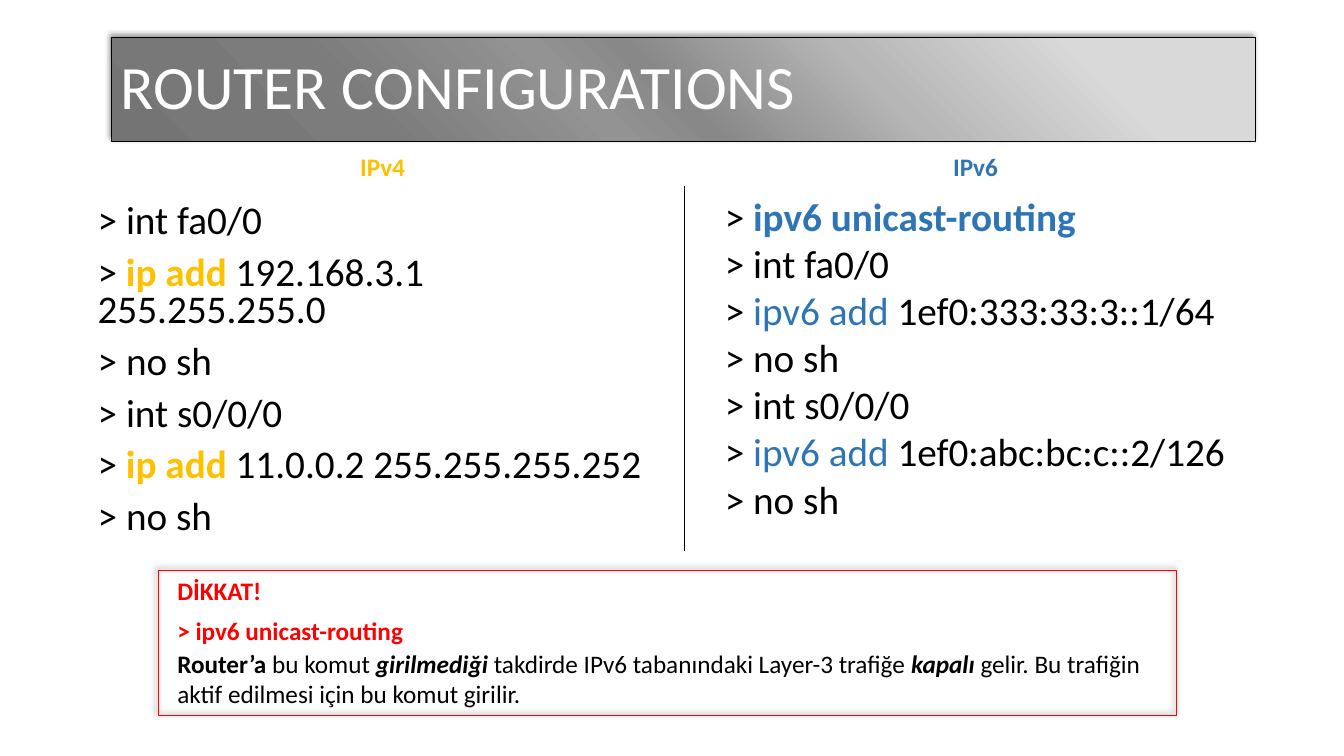
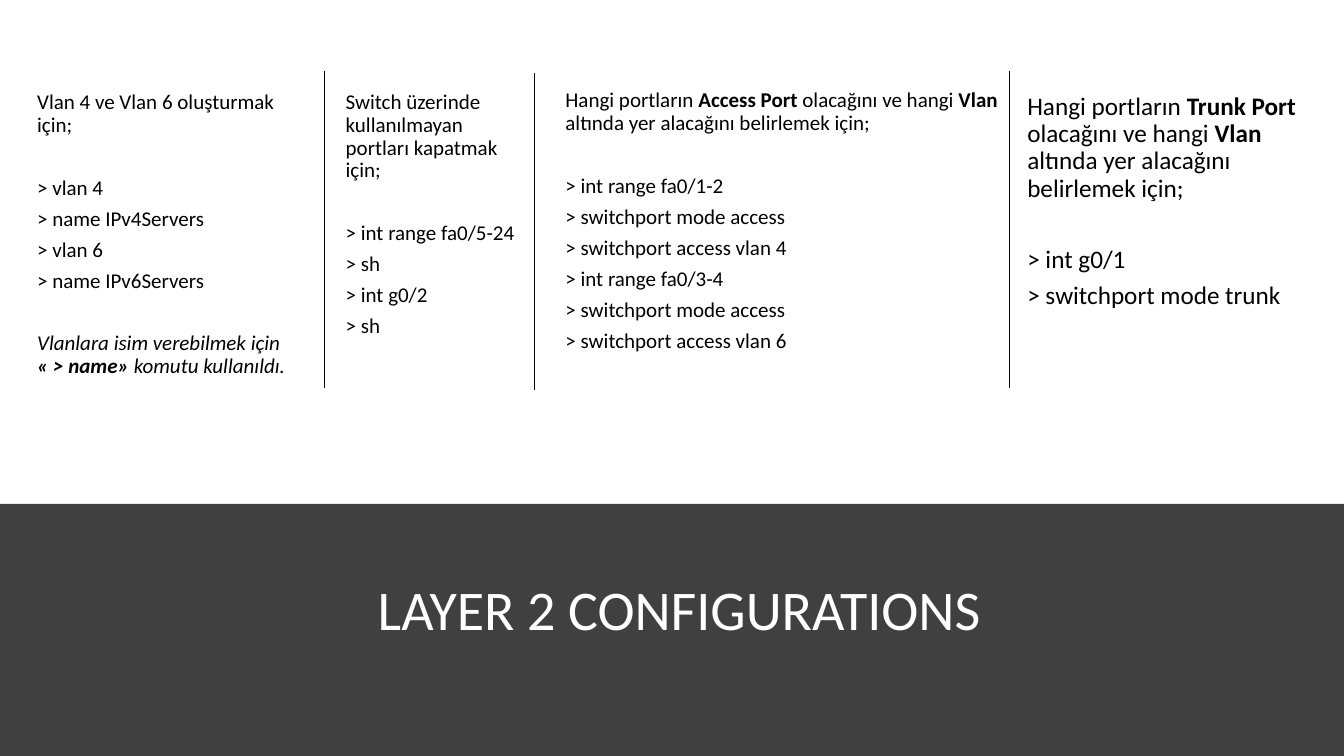
from lxml import etree
from pptx import Presentation
from pptx.dml.color import RGBColor
from pptx.enum.shapes import MSO_CONNECTOR, MSO_SHAPE
from pptx.enum.text import MSO_ANCHOR, PP_ALIGN
from pptx.oxml import parse_xml
from pptx.oxml.ns import nsdecls, qn
from pptx.util import Inches, Pt

FONT = "Calibri"
BLACK = RGBColor(0x00, 0x00, 0x00)
WHITE = RGBColor(0xFF, 0xFF, 0xFF)
AMBER = RGBColor(0xFF, 0xC0, 0x00)
BLUE = RGBColor(0x2E, 0x75, 0xB6)
RED = RGBColor(0xFF, 0x00, 0x00)
CHARCOAL = RGBColor(0x40, 0x40, 0x40)
BAND_STOPS = [(15, "D9D9D9"), (34, "B6B6B6"), (51, "888888"), (59, "939393"),
              (77, "7C7C7C"), (90, "787878"), (97, "747474")]

BOLD = {"bold": True}
BOLD_ITALIC = {"bold": True, "italic": True}
IPV4_ADD = ("ip add ", {"bold": True, "color": AMBER})
IPV6_ADD = ("ipv6 add ", {"color": BLUE})


def write(slide, box, paragraphs, size=18, color=BLACK, bold=False, italic=False,
          align=PP_ALIGN.LEFT, anchor=MSO_ANCHOR.TOP, wrap=True,
          spacing=None, before=0, after=0, gaps=None):
    """Write paragraphs, each a string or a list of strings and (text, format) runs.

    gaps maps a paragraph's index to its own space after, in points.
    """
    frame = slide.shapes.add_textbox(*map(Inches, box)).text_frame
    frame.word_wrap = wrap
    frame.vertical_anchor = anchor
    for index, runs in enumerate(paragraphs):
        paragraph = frame.add_paragraph() if index else frame.paragraphs[0]
        paragraph.alignment = align
        paragraph.line_spacing = spacing
        paragraph.space_before = Pt(before)
        paragraph.space_after = Pt((gaps or {}).get(index, after))
        for part in [runs] if isinstance(runs, str) else runs:
            text, style = (part, {}) if isinstance(part, str) else part
            run = paragraph.add_run()
            run.text = text
            run.font.name = FONT
            run.font.size = Pt(size)
            run.font.bold = style.get("bold", bold)
            run.font.italic = style.get("italic", italic)
            run.font.color.rgb = style.get("color", color)


def panel(slide, box, fill=None, line=None, weight=1):
    """Add a flat rectangle; no fill or line unless a colour is given."""
    rectangle = slide.shapes.add_shape(MSO_SHAPE.RECTANGLE, *map(Inches, box))
    rectangle.shadow.inherit = False
    if fill is None:
        rectangle.fill.background()
    else:
        rectangle.fill.solid()
        rectangle.fill.fore_color.rgb = fill
    if line is None:
        rectangle.line.fill.background()
    else:
        rectangle.line.color.rgb = line
        rectangle.line.width = Pt(weight)
    return rectangle


def cast_shadow(rectangle):
    """Give a rectangle a soft shadow towards the upper left."""
    effects = rectangle._element.spPr.find(qn("a:effectLst"))
    effects.append(parse_xml(
        f'<a:outerShdw {nsdecls("a")} blurRad="{Pt(4)}" dist="{Pt(3)}" '
        f'dir="{225 * 60000}" algn="br" rotWithShape="0">'
        '<a:prstClr val="black"><a:alpha val="40000"/></a:prstClr></a:outerShdw>'))


def radial_fill(rectangle, stops):
    """Replace the fill by a gradient spreading from the upper right corner."""
    stop_xml = "".join(f'<a:gs pos="{position * 1000}"><a:srgbClr val="{tone}"/></a:gs>'
                       for position, tone in stops)
    properties = rectangle._element.spPr
    properties.replace(properties.find(qn("a:noFill")), parse_xml(
        f'<a:gradFill {nsdecls("a")} rotWithShape="1"><a:gsLst>{stop_xml}</a:gsLst>'
        '<a:path path="circle"><a:fillToRect l="100000" b="100000"/></a:path>'
        '</a:gradFill>'))


def divider(slide, x, top, bottom, weight=1):
    """Draw a vertical black rule."""
    rule = slide.shapes.add_connector(MSO_CONNECTOR.STRAIGHT, Inches(x), Inches(top),
                                      Inches(x), Inches(bottom))
    rule.line.color.rgb = BLACK
    rule.line.width = Pt(weight)
    etree.SubElement(rule._element.spPr, qn("a:effectLst"))


def title(slide, box, text, size, align=PP_ALIGN.LEFT):
    """Write a white slide title, centred vertically in its box."""
    write(slide, box, [text], size=size, color=WHITE, align=align,
          anchor=MSO_ANCHOR.MIDDLE, spacing=0.9)


def title_band(slide, box, text):
    """Draw the shaded band with the title on it."""
    left, top, width, height = box
    band = panel(slide, box, line=BLACK, weight=0.25)
    radial_fill(band, BAND_STOPS)
    cast_shadow(band)
    title(slide, (left, top + 0.05, width - 0.18, height - 0.1), text, 44)


def heading(slide, center, top, text, color):
    """Write a protocol heading centred on an x position."""
    write(slide, (center - 0.33, top, 0.65, 0.4), [text], color=color, bold=True,
          align=PP_ALIGN.CENTER, wrap=False)


def warning(slide, box):
    """Draw the red warning box and its text."""
    left, top, width, height = box
    cast_shadow(panel(slide, box, line=RED))
    alert = {"bold": True, "color": RED}
    write(slide, (left + 0.09, top, width - 0.09, height), [
        [("DİKKAT!", alert)],
        [("> ipv6 unicast-routing", alert)],
        [("Router’a ", BOLD), "bu komut ", ("girilmediği ", BOLD_ITALIC),
         "takdirde IPv6 tabanındaki Layer-3 trafiğe ", ("kapalı", BOLD_ITALIC),
         " gelir. Bu trafiğin aktif edilmesi için bu komut girilir."],
    ], gaps={0: 7, 1: 2})


def command_column(slide, box, intro, commands, size=15, remark=None):
    """Write an introduction, its commands and an optional italic remark."""
    section_gap = 12 + 1.1 * size
    gaps = {0: section_gap}
    paragraphs = [intro, *commands]
    if remark:
        gaps[len(commands)] = section_gap
        paragraphs.append(remark)
    write(slide, box, paragraphs, size=size, spacing=0.9, after=6, gaps=gaps)


def port_intro(kind):
    """Return the introduction for choosing ports of one kind."""
    return ["Hangi portların ", (kind, BOLD), " olacağını ve hangi ", ("Vlan", BOLD),
            " altında yer alacağını belirlemek için;"]


def router_slide(slide):
    """Compare router commands for IPv4 and IPv6."""
    title_band(slide, (1.1, 0.37, 11.35, 1.03), "ROUTER CONFIGURATIONS")
    heading(slide, 3.8, 1.45, "IPv4", AMBER)
    heading(slide, 9.68, 1.45, "IPv6", BLUE)
    write(slide, (0.87, 1.98, 5.75, 3.18), [
        "> int fa0/0",
        ["> ", IPV4_ADD, "192.168.3.1 255.255.255.0"],
        "> no sh",
        "> int s0/0/0",
        ["> ", IPV4_ADD, "11.0.0.2 255.255.255.252"],
        "> no sh",
    ], size=28, spacing=0.8, before=10)
    divider(slide, 6.79, 1.85, 5.47, weight=0.5)
    write(slide, (7.09, 1.86, 5.18, 3.4), [
        ["> ", ("ipv6 unicast-routing", {"bold": True, "color": BLUE})],
        "> int fa0/0",
        ["> ", IPV6_ADD, "1ef0:333:33:3::1/64"],
        "> no sh",
        "> int s0/0/0",
        ["> ", IPV6_ADD, "1ef0:abc:bc:c::2/126"],
        "> no sh",
    ], size=28)
    warning(slide, (1.57, 5.66, 10.1, 1.44))


def layer2_slide(slide):
    """Show four columns of switch commands above a dark title band."""
    panel(slide, (0, 5, 13.33, 2.5), fill=CHARCOAL)
    title(slide, (0.97, 5.35, 11.53, 1.45), "LAYER 2 CONFIGURATIONS", 40,
          align=PP_ALIGN.CENTER)
    command_column(
        slide, (0.27, 0.86, 2.73, 3.26), "Vlan 4 ve Vlan 6 oluşturmak için;",
        ["> vlan 4", "> name IPv4Servers", "> vlan 6", "> name IPv6Servers"],
        remark=[("Vlanlara isim verebilmek için ", {"italic": True}),
                ("« > name» ", BOLD_ITALIC), ("komutu kullanıldı.", {"italic": True})])
    command_column(
        slide, (3.33, 0.86, 1.88, 3.24),
        "Switch üzerinde kullanılmayan portları kapatmak için;",
        ["> int range fa0/5-24", "> sh", "> int g0/2", "> sh"])
    access_commands = []
    for ports, vlan in (("1-2", 4), ("3-4", 6)):
        access_commands += [f"> int range fa0/{ports}", "> switchport mode access",
                            f"> switchport access vlan {vlan}"]
    command_column(slide, (5.51, 0.84, 4.5, 3.26), port_intro("Access Port"),
                   access_commands)
    command_column(slide, (10.09, 0.88, 2.88, 3.26), port_intro("Trunk Port"),
                   ["> int g0/1", "> switchport mode trunk"], size=18)
    for x, top in ((3.22, 0.7), (5.3, 0.72), (10.01, 0.7)):
        divider(slide, x, top, top + 3.15)


def main():
    """Build the presentation."""
    deck = Presentation()
    deck.slide_width, deck.slide_height = Inches(13.33), Inches(7.5)
    for build in (router_slide, layer2_slide):
        build(deck.slides.add_slide(deck.slide_layouts[6]))
    deck.save("out.pptx")


main()
